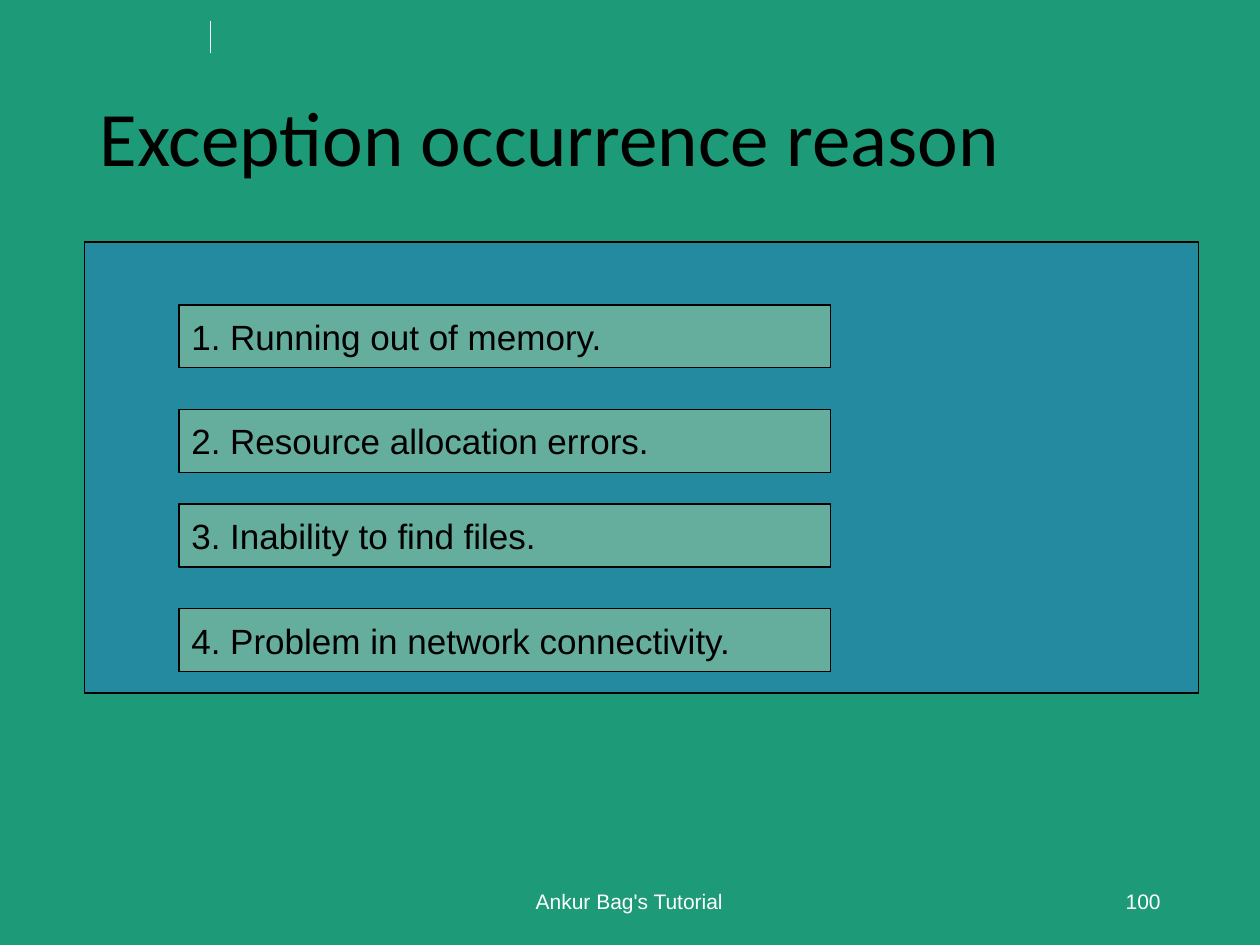
from dataclasses import dataclass

from lxml.etree import SubElement
from pptx import Presentation
from pptx.dml.color import RGBColor
from pptx.enum.shapes import MSO_CONNECTOR as Connector, MSO_SHAPE as Shape
from pptx.enum.text import MSO_ANCHOR as Anchor, PP_ALIGN as Align
from pptx.oxml.ns import qn
from pptx.util import Inches, Pt


@dataclass(frozen=True)
class Theme:
    background: str = "1D9A78"
    panel: str = "3366FF"
    reason: str = "FFFF99"
    ink: str = "000000"
    light: str = "FFFFFF"
    heading_font: str = "Calibri"
    body_font: str = "Arial"
    title_size: float = 44
    reason_size: float = 20
    footer_size: float = 12
    line_width: float = 0.75
    opacity: int = 30


def write_text(frame, text, *, font, size, color, align=Align.LEFT, spacing=None, after=0):
    frame.word_wrap = True
    frame.vertical_anchor = Anchor.MIDDLE
    paragraph = frame.paragraphs[0]
    paragraph.alignment = align
    paragraph.line_spacing = spacing
    paragraph.space_after = Pt(after)
    run = paragraph.add_run()
    run.text = text
    run.font.name = font
    run.font.size = Pt(size)
    run.font.color.rgb = RGBColor.from_string(color)


class SlideBuilder:
    """Draws themed elements on one slide."""

    def __init__(self, slide, theme):
        self.slide = slide
        self.theme = theme
        backdrop = slide.background.fill
        backdrop.solid()
        backdrop.fore_color.rgb = RGBColor.from_string(theme.background)

    def outline(self, line, color):
        line.color.rgb = RGBColor.from_string(color)
        line.width = Pt(self.theme.line_width)

    def title(self, text, left, top, width, height):
        heading = self.slide.shapes.title
        heading.left, heading.top = Inches(left), Inches(top)
        heading.width, heading.height = Inches(width), Inches(height)
        write_text(heading.text_frame, text, font=self.theme.heading_font,
                   size=self.theme.title_size, color=self.theme.ink, spacing=0.9)

    def rule(self, x, top, bottom):
        tick = self.slide.shapes.add_connector(
            Connector.STRAIGHT, Inches(x), Inches(bottom), Inches(x), Inches(top))
        self.outline(tick.line, self.theme.light)
        SubElement(tick._element.spPr, qn("a:effectLst"))

    def box(self, left, top, width, height, color):
        panel = self.slide.shapes.add_shape(
            Shape.RECTANGLE, Inches(left), Inches(top), Inches(width), Inches(height))
        panel.shadow.inherit = False
        panel.fill.solid()
        panel.fill.fore_color.rgb = RGBColor.from_string(color)
        tint = panel._element.spPr.find(f"{qn('a:solidFill')}/{qn('a:srgbClr')}")
        SubElement(tint, qn("a:alpha"), val=str(self.theme.opacity * 1000))
        self.outline(panel.line, self.theme.ink)
        return panel

    def reason(self, text, left, top, width, height):
        panel = self.box(left, top, width, height, self.theme.reason)
        write_text(panel.text_frame, text, font=self.theme.body_font,
                   size=self.theme.reason_size, color=self.theme.ink, after=12.5)

    def footer(self, text, left, width, align):
        note = self.slide.shapes.add_textbox(
            Inches(left), Inches(6.95), Inches(width), Inches(0.4))
        write_text(note.text_frame, text, font=self.theme.body_font,
                   size=self.theme.footer_size, color=self.theme.light,
                   align=align, after=7.5)


def main():
    deck = Presentation()
    deck.slide_width, deck.slide_height = Inches(10), Inches(7.5)
    theme = Theme()
    builder = SlideBuilder(deck.slides.add_slide(deck.slide_layouts[5]), theme)

    builder.rule(1.67, 0.17, 0.42)
    builder.title("Exception occurrence reason", 0.69, 0.4, 8.63, 1.45)
    builder.footer("Ankur Bag's Tutorial", 3.31, 3.37, Align.CENTER)
    builder.footer("100", 7.06, 2.25, Align.RIGHT)
    builder.box(0.67, 1.92, 8.84, 3.58, theme.panel)

    reasons = {
        "Running out of memory.": 2.42,
        "Resource allocation errors.": 3.25,
        "Inability to find files.": 4,
        "Problem in network connectivity.": 4.83,
    }
    for number, (reason, top) in enumerate(reasons.items(), 1):
        builder.reason(f"{number}. {reason}", 1.42, top, 5.17, 0.5)

    deck.save("out.pptx")


if __name__ == "__main__":
    main()
